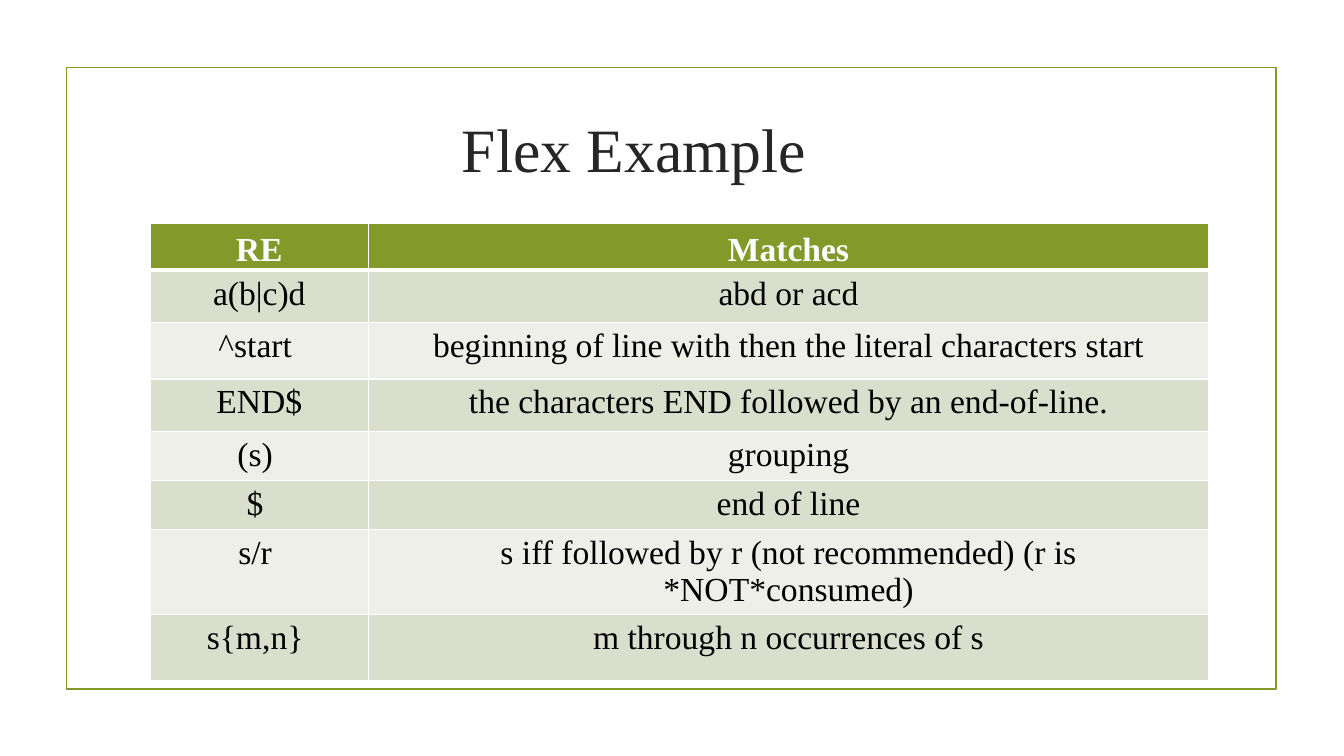
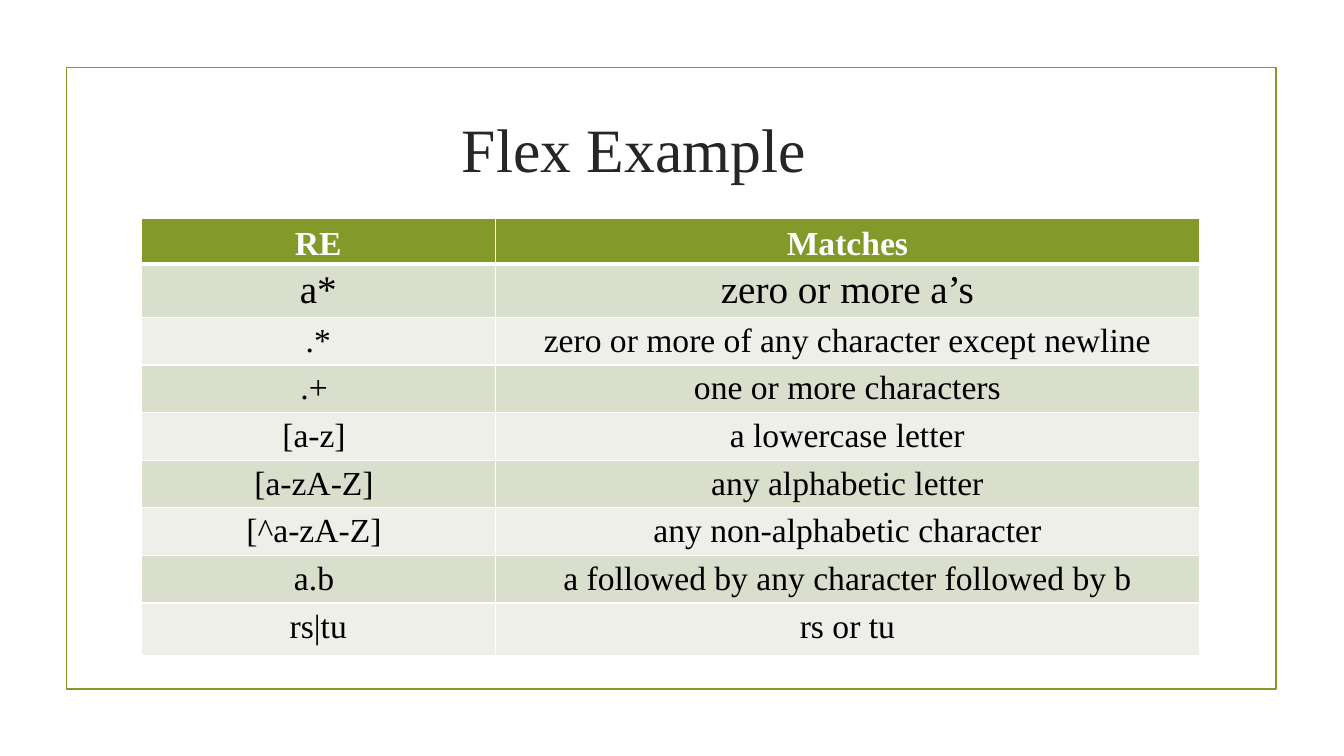
from lxml import etree
from pptx import Presentation
from pptx.dml.color import RGBColor
from pptx.enum.shapes import MSO_SHAPE
from pptx.enum.text import MSO_ANCHOR, PP_ALIGN
from pptx.oxml.ns import qn
from pptx.util import Cm, Pt

RECTANGLE = MSO_SHAPE.RECTANGLE
CENTER = PP_ALIGN.CENTER
TOP, MIDDLE = MSO_ANCHOR.TOP, MSO_ANCHOR.MIDDLE
TITLE_ONLY = 5

FONT = "Times New Roman"
GREEN, WHITE, BLACK, INK = "83992A", "FFFFFF", "000000", "262626"
BANDS = ("D9DECD", "EDEFE8")
HEADER = ("RE", "Matches")


def color(hex_code):
    return RGBColor.from_string(hex_code)


class SlideBuilder:
    """Holds the shared style and the slide being built."""

    def __init__(self, deck):
        self.deck = deck
        self.page = None

    def start_page(self, title):
        self.page = self.deck.slides.add_slide(self.deck.slide_layouts[TITLE_ONLY])
        self.add_frame()
        self.set_title(title)

    def add_frame(self):
        frame = self.page.shapes.add_shape(
            RECTANGLE, Cm(1.68), Cm(1.7), Cm(30.48), Cm(15.67))
        frame.shadow.inherit = False
        frame.fill.background()
        frame.line.color.rgb = color(GREEN)
        frame.line.width = Pt(1.25)

    def set_title(self, text):
        title = self.page.shapes.title
        title.left, title.top = Cm(2.64), Cm(1.9)
        title.width, title.height = Cm(26.67), Cm(3.63)
        title.text_frame.text = text
        title.text_frame.vertical_anchor = MIDDLE
        self.style(title.text_frame.paragraphs[0], 44, INK)

    def style(self, para, size, hex_code, bold=False):
        para.alignment = CENTER
        para.font.name = FONT
        para.font.size = Pt(size)
        para.font.bold = bold
        para.font.color.rgb = color(hex_code)

    def set_borders(self, cell, top, bottom):
        properties = cell._tc.get_or_add_tcPr()
        widths = {"a:lnL": 1, "a:lnR": 1, "a:lnT": top, "a:lnB": bottom}
        # Borders come before the fill in the cell properties
        for index, (tag, width) in enumerate(widths.items()):
            line = etree.Element(qn(tag), w=str(Pt(width)))
            fill = etree.SubElement(line, qn("a:solidFill"))
            etree.SubElement(fill, qn("a:srgbClr"), val=WHITE)
            properties.insert(index, line)

    def fill_cell(self, cell, text, row, size):
        is_header = row == 0
        cell.text = text
        para = cell.text_frame.paragraphs[0]
        self.style(para, size, WHITE if is_header else BLACK, is_header)
        cell.vertical_anchor = MIDDLE if is_header else TOP
        if is_header:
            para.line_spacing = 1.15
            cell.margin_left = cell.margin_right = Cm(0.03)
            cell.margin_top = cell.margin_bottom = Cm(0.03)
        cell.fill.solid()
        cell.fill.fore_color.rgb = color(GREEN if is_header else BANDS[(row - 1) % 2])
        self.set_borders(cell, top=3 if row == 1 else 1, bottom=3 if is_header else 1)

    def add_table(self, left, top, widths, heights, rows, large_rows=()):
        rows = [HEADER, *rows]
        table = self.page.shapes.add_table(
            len(rows), len(widths), Cm(left), Cm(top),
            Cm(sum(widths)), Cm(sum(heights))).table
        for column, width in zip(table.columns, widths):
            column.width = Cm(width)
        for index, (height, texts) in enumerate(zip(heights, rows)):
            table.rows[index].height = Cm(height)
            size = 28 if index in large_rows else 24
            for cell, text in zip(table.rows[index].cells, texts):
                self.fill_cell(cell, text, index, size)


def main():
    deck = Presentation()
    deck.slide_width, deck.slide_height = Cm(33.87), Cm(19.05)
    builder = SlideBuilder(deck)

    # Anchors, grouping and repetition counts
    builder.start_page("Flex Example")
    builder.add_table(
        3.78, 5.64, (5.51, 21.16),
        (1.17, 1.32, 1.42, 1.32, 1.24, 1.24, 2.13, 1.68),
        [
            ("a(b|c)d", "abd or acd"),
            ("^start ", "beginning of line with then the literal characters start"),
            ("END$", "the characters END followed by an end-of-line."),
            ("(s) ", "grouping"),
            ("$ ", "end of line"),
            ("s/r ", "s iff followed by r (not recommended) (r is *NOT*consumed)"),
            ("s{m,n} ", "m through n occurrences of s"),
        ])

    # Repetition, character classes and alternatives
    builder.start_page("Flex Example")
    builder.add_table(
        3.56, 5.51, (8.92, 17.75), (1.12, 1.35, *[1.2] * 6, 1.32),
        [
            ("a*", "zero or more a’s"),
            (".*", "zero or more of any character except newline"),
            (".+ ", "one or more characters"),
            ("[a-z] ", "a lowercase letter"),
            ("[a-zA-Z] ", "any alphabetic letter"),
            ("[^a-zA-Z] ", "any non-alphabetic character"),
            ("a.b ", "a followed by any character followed by b"),
            ("rs|tu", "rs or tu"),
        ],
        large_rows=(1,))

    deck.save("out.pptx")


if __name__ == "__main__":
    main()
